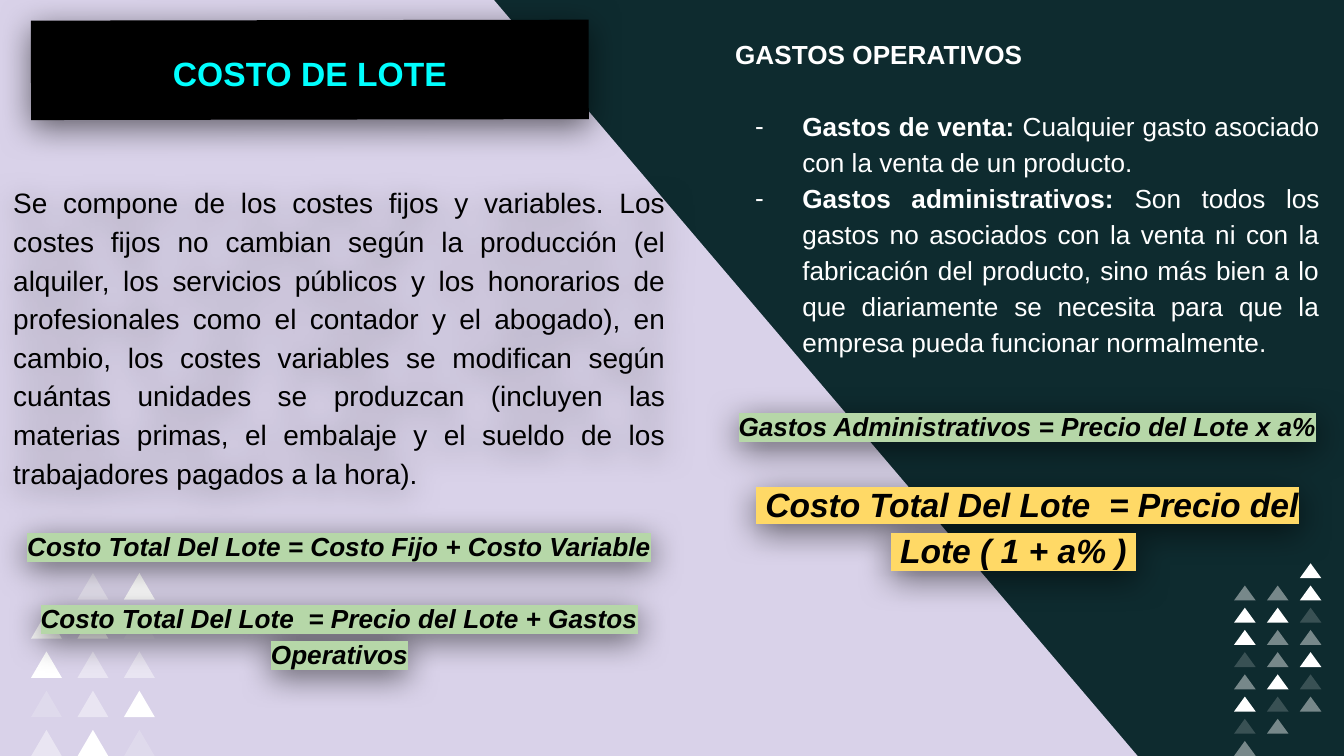
from pptx import Presentation
from pptx import util as u
from pptx.dml import color
from pptx.enum import shapes, text
from pptx.oxml import ns, xmlchemy

Pt = u.Pt
ALIGN = text.PP_ALIGN
GAP = 19.3


def rgb(code):
    return color.RGBColor.from_string(code)


def node(root, tag, **attrs):
    item = xmlchemy.OxmlElement(tag)
    for key, val in attrs.items():
        item.set(key, str(val))
    root.append(item)
    return item


def place(shape, box):
    left, top, width, height = box
    shape.left, shape.top = Pt(left), Pt(top)
    shape.width, shape.height = Pt(width), Pt(height)


def shade(shape):
    shape.shadow.inherit = False
    root = shape._element.spPr.find(ns.qn("a:effectLst"))
    drop = node(root, "a:outerShdw", blurRad=Pt(18), dist=Pt(4),
                dir=5400000, algn="bl", rotWithShape=0)
    node(node(drop, "a:srgbClr", val="000000"), "a:alpha", val=55000)


def setup(shape, pad=(7.2, 3.6, 7.2, 3.6), anchor=text.MSO_ANCHOR.MIDDLE):
    frame = shape.text_frame
    frame.word_wrap = True
    frame.auto_size = text.MSO_AUTO_SIZE.NONE
    frame.vertical_anchor = anchor
    frame.margin_left, frame.margin_top, frame.margin_right, frame.margin_bottom = map(Pt, pad)
    return frame


def para(frame, align, before=0):
    first = frame.paragraphs[0]
    line = frame.add_paragraph() if first.runs else first
    line.alignment, line.line_spacing = align, 1.15
    line.space_before, line.space_after = Pt(before), Pt(0)
    return line


def write(line, words, size, ink, bold=False, slant=False, mark=None):
    run = line.add_run()
    run.text = words
    font = run.font
    font.size, font.bold, font.italic = Pt(size), bold, slant
    font.color.rgb = rgb(ink)
    font.name = "Arial"
    if mark:
        glow = xmlchemy.OxmlElement("a:highlight")
        node(glow, "a:srgbClr", val=mark)
        run._r.rPr.find(ns.qn("a:solidFill")).addnext(glow)


def formula(frame, words, size=14, mark="B6D7A8", before=0):
    line = para(frame, ALIGN.CENTER, before)
    write(line, words, size, "000000", True, True, mark)
    return line


def panel(slide, box):
    left, top, width, height = box
    pen = slide.shapes.build_freeform(Pt(left), Pt(top))
    pen.add_line_segments([
        (Pt(left), Pt(top + height)),
        (Pt(left + width), Pt(top + height)),
        (Pt(left + width * 0.433), Pt(top)),
    ])
    shape = pen.convert_to_shape()
    shape.fill.solid()
    shape.fill.fore_color.rgb = rgb("D9D2E9")
    shape.line.fill.background()
    shape.shadow.inherit = False


def peaks(slide, box, rows, wide, high):
    left, top, width, height = box
    step = (width - wide) / (len(rows[0]) - 1)
    drop = (height - high) / (len(rows) - 1)
    tones = {"F": 100, "h": 44, "l": 18}
    group = slide.shapes.add_group_shape()
    for i, row in enumerate(rows):
        for j, tone in enumerate(row):
            if tone not in tones:
                continue
            peak = group.shapes.add_shape(
                shapes.MSO_SHAPE.ISOSCELES_TRIANGLE,
                Pt(left + j * step), Pt(top + i * drop), Pt(wide), Pt(high))
            peak.shadow.inherit = False
            peak.line.fill.background()
            peak.fill.solid()
            peak.fill.fore_color.rgb = rgb("FFFFFF")
            if tones[tone] < 100:
                ink = peak._element.spPr.find(ns.qn("a:solidFill"))[0]
                node(ink, "a:alpha", val=tones[tone] * 1000)


def banner(slide, box):
    shape = slide.shapes.title
    slide.shapes._spTree.append(shape._element)
    place(shape, box)
    shape.rotation = -0.1
    shape.fill.solid()
    shape.fill.fore_color.rgb = rgb("000000")
    shade(shape)
    line = para(setup(shape), ALIGN.CENTER)
    write(line, "COSTO DE LOTE", 18, "00FFFF", True)


def batch(slide, box):
    shape = slide.shapes.add_textbox(*map(Pt, box))
    shade(shape)
    frame = setup(shape)
    write(para(frame, ALIGN.JUSTIFY),
          "Se compone de los costes fijos y variables. Los costes fijos no cambian "
          "según la producción (el alquiler, los servicios públicos y los honorarios "
          "de profesionales como el contador y el abogado), en cambio, los costes "
          "variables se modifican según cuántas unidades se produzcan (incluyen las "
          "materias primas, el embalaje y el sueldo de los trabajadores pagados a la "
          "hora).", 15, "000000")
    for words in ("Costo Total Del Lote = Costo Fijo + Costo Variable",
                  "Costo Total Del Lote  = Precio del Lote + Gastos Operativos"):
        formula(frame, words, before=GAP)


def total(slide, box):
    shape = slide.shapes.add_textbox(*map(Pt, box))
    shade(shape)
    frame = setup(shape, (7.2, 15, 7.2, 3.6), text.MSO_ANCHOR.TOP)
    formula(frame, "Gastos Administrativos = Precio del Lote x a%")
    formula(frame, " Costo Total Del Lote  = Precio del", 18, "FFD966", GAP)
    last = formula(frame, " Lote ( 1 + a% ) ", 18, "FFD966")
    last._p.get_or_add_pPr().set("marR", str(Pt(15)))


def costs(slide, box):
    shape = slide.placeholders[1]
    slide.shapes._spTree.append(shape._element)
    place(shape, box)
    frame = setup(shape, (7.2,) * 4, text.MSO_ANCHOR.TOP)
    head = para(frame, ALIGN.JUSTIFY)
    props = head._p.get_or_add_pPr()
    props.set("marL", "0")
    props.set("indent", "0")
    node(props, "a:buNone")
    write(head, "GASTOS OPERATIVOS", 14, "FFFFFF", True)
    items = (
        ("Gastos de venta:", " Cualquier gasto asociado con la venta de un producto."),
        ("Gastos administrativos:",
         " Son todos los gastos no asociados con la venta ni con la fabricación del "
         "producto, sino más bien a lo que diariamente se necesita para que la empresa "
         "pueda funcionar normalmente."),
    )
    for i, (name, words) in enumerate(items):
        line = para(frame, ALIGN.JUSTIFY, 0 if i else GAP)
        props = line._p.get_or_add_pPr()
        props.set("marL", str(Pt(36)))
        props.set("indent", str(Pt(-25.2)))
        node(node(props, "a:buClr"), "a:srgbClr", val="FFFFFF")
        node(props, "a:buFont", typeface="Arial")
        node(props, "a:buChar", char="-")
        write(line, name, 14, "FFFFFF", True)
        write(line, words, 14, "FFFFFF")


def main():
    deck = Presentation()
    deck.slide_width, deck.slide_height = Pt(720), Pt(405)
    slide = deck.slides.add_slide(deck.slide_layouts[1])
    back = slide.background.fill
    back.solid()
    back.fore_color.rgb = rgb("0E2B2F")
    rows = ["..F", "hhF", "FFl", "Fhh", "lhF", "hFl", "Flh", "lh.", "h.."]
    panel(slide, (0, -0.7, 609.8, 406.1))
    peaks(slide, (661.1, 301.8, 46.8, 103.2), rows, 11.6, 8)
    peaks(slide, (16.6, 286, 66.4, 119.2), rows[:1] + [".hF"] + rows[2:6], 16.6, 14.2)
    banner(slide, (16.6, 10.8, 298.8, 53.3))
    batch(slide, (0, 81.4, 363.6, 293))
    total(slide, (344.9, 202.3, 411.1, 124.6))
    costs(slide, (386.6, 10.8, 327.6, 186.5))
    deck.save("out.pptx")


if __name__ == "__main__":
    main()
